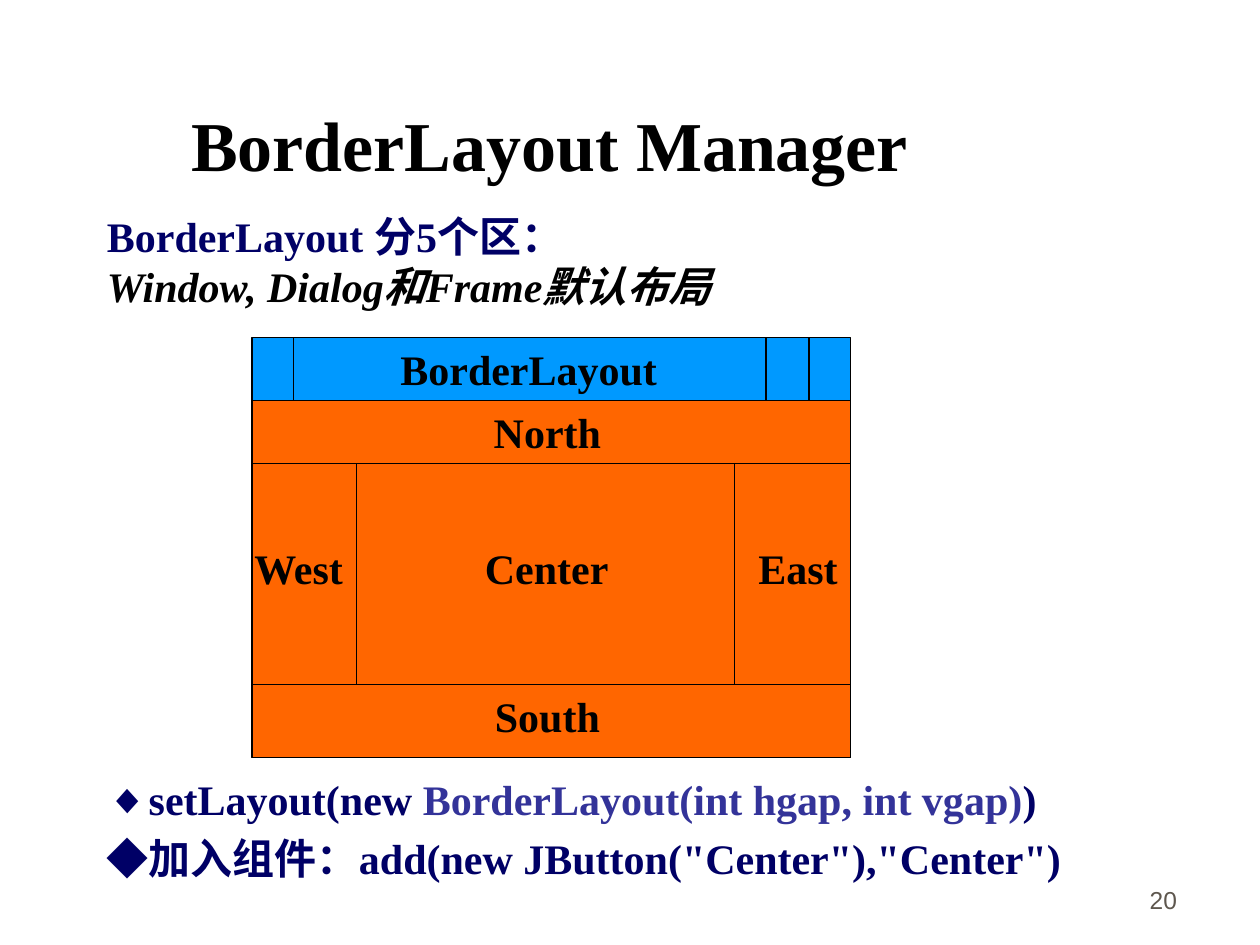
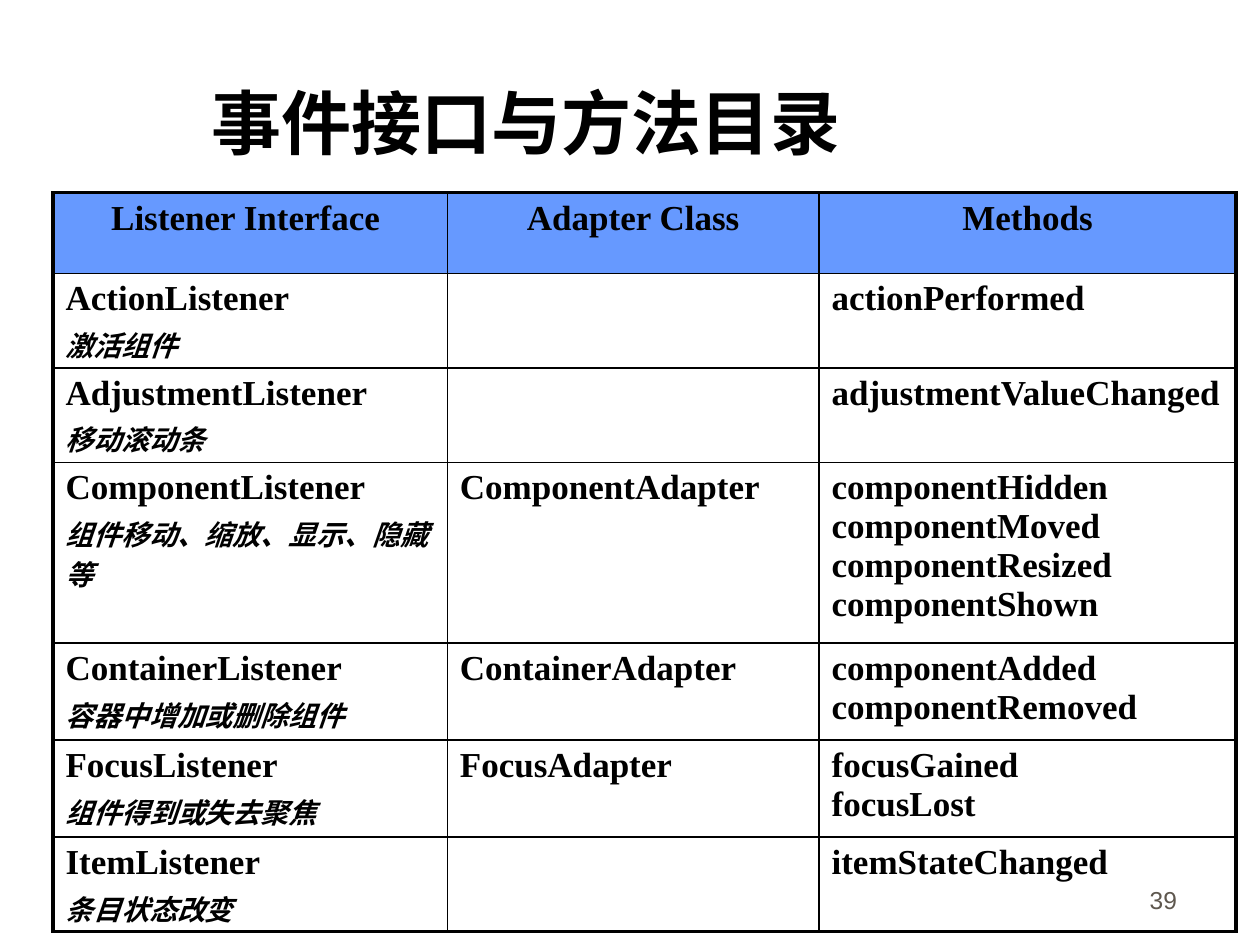
from pptx import Presentation
from pptx.dml.color import RGBColor
from pptx.enum.shapes import MSO_CONNECTOR, MSO_SHAPE
from pptx.enum.text import MSO_ANCHOR, PP_ALIGN
from pptx.oxml import parse_xml
from pptx.oxml.ns import nsdecls
from pptx.util import Inches, Pt

LEFT, MID, RIGHT = PP_ALIGN.LEFT, PP_ALIGN.CENTER, PP_ALIGN.RIGHT
TOP, LOW = MSO_ANCHOR.TOP, MSO_ANCHOR.BOTTOM
RECT, PANE = MSO_SHAPE.RECTANGLE, MSO_SHAPE.ACTION_BUTTON_CUSTOM
LINE = MSO_CONNECTOR.STRAIGHT


class Theme:
    serif, sans = "Times New Roman", "Arial"
    black, navy, indigo, grey = "000000", "000066", "333399", "5E574E"
    blue, orange, head = "0099FF", "FF6600", "6699FF"
    title, body, cell, note, page = 40, 24, 20, 16, 14
    thin, edge, thick = 0.75, 1, 2.25
    gap = 0.2  # space between paragraphs, as a share of the type size


# Content: layout slide
INTRO = [
    [("BorderLayout 分5个区：", {"color": Theme.navy})],
    [("Window, Dialog和Frame默认布局", {"italic": True})],
]
CODE = [
    [("◆setLayout(new ", {}),
     ("BorderLayout(int hgap, int vgap)", {"color": Theme.indigo}),
     (")", {})],
    [("◆加入组件：add(new JButton(\"Center\"),\"Center\")", {})],
]
COLS = [2, 2.83, 5.83, 6.75]
ROWS = [2.68, 3.18, 3.68, 5.43, 6.01]
TICKS = [2.33, 6.08, 6.42]
# Column span and row of each region
REGIONS = [(0, 3, 1), (0, 3, 3), (0, 1, 2), (2, 3, 2), (1, 2, 2)]
# Name, left, top, width
LABELS = [
    ("BorderLayout", 3.08, ROWS[0], 2.24),
    ("North", 3.82, ROWS[1], 1.05),
    ("West", 1.92, 4.26, 0.92),
    ("Center", 3.75, 4.26, 1.18),
    ("East", 5.92, 4.26, 0.83),
    ("South", 3.83, ROWS[3], 1.04),
]

# Content: event slide
HEADS = ["Listener Interface ", "Adapter Class", "Methods"]
EVENTS = [
    ("ActionListener", "激活组件", "", "actionPerformed"),
    ("AdjustmentListener", "移动滚动条", "", "adjustmentValueChanged"),
    ("ComponentListener", "组件移动、缩放、显示、隐藏等", "ComponentAdapter",
     "componentHidden \ncomponentMoved \ncomponentResized \ncomponentShown"),
    ("ContainerListener", "容器中增加或删除组件", "ContainerAdapter",
     "componentAdded \ncomponentRemoved"),
    ("FocusListener", "组件得到或失去聚焦", "FocusAdapter",
     "focusGained \nfocusLost"),
    ("ItemListener", "条目状态改变", "", "itemStateChanged"),
]
WIDTHS = [3.13, 2.95, 3.31]
HEIGHTS = [0.64, 0.75, 0.75, 1.43, 0.77, 0.77, 0.75]


def write(frame, text, size=Theme.body, font=Theme.serif, color=Theme.black,
          bold=True, italic=False, align=LEFT, gap=0):
    """Fill a frame with a string or with paragraphs of (text, format) runs."""
    paras = [[(text, {})]] if isinstance(text, str) else text
    base = {"size": size, "color": color, "italic": italic}
    for i, runs in enumerate(paras):
        para = frame.add_paragraph() if i else frame.paragraphs[0]
        para.alignment = align
        if i and gap:
            para.space_before = Pt(gap * runs[0][1].get("size", size))
        for words, extra in runs:
            look = {**base, **extra}
            for j, part in enumerate(words.split("\n")):
                if j:
                    para.add_line_break()
                run = para.add_run()
                run.text = part
                face = run.font
                face.name, face.size = font, Pt(look["size"])
                face.bold, face.italic = bold, look["italic"]
                face.color.rgb = RGBColor.from_string(look["color"])


def add_text(slide, box, text, wrap=True, anchor=TOP, **fmt):
    frame = slide.shapes.add_textbox(*map(Inches, box)).text_frame
    frame.word_wrap = wrap
    frame.vertical_anchor = anchor
    write(frame, text, **fmt)


def add_box(slide, kind, left, top, right, low, fill):
    box = slide.shapes.add_shape(
        kind, *map(Inches, (left, top, right - left, low - top)))
    box.shadow.inherit = False
    box.fill.solid()
    box.fill.fore_color.rgb = RGBColor.from_string(fill)
    box.line.color.rgb = RGBColor.from_string(Theme.black)
    box.line.width = Pt(Theme.thin)


def add_line(slide, *ends):
    line = slide.shapes.add_connector(LINE, *map(Inches, ends))
    line.line.color.rgb = RGBColor.from_string(Theme.black)
    line.line.width = Pt(Theme.thin)
    line._element.spPr.append(parse_xml(f"<a:effectLst {nsdecls('a')}/>"))


def add_page(deck, number, title, box):
    """Add a slide with its page number and title."""
    slide = deck.slides.add_slide(deck.slide_layouts[6])
    add_text(slide, (7.36, 6.81, 2.08, 0.5), number, anchor=LOW, align=RIGHT,
             size=Theme.page, font=Theme.sans, color=Theme.grey, bold=False)
    add_text(slide, box, title, size=Theme.title)
    return slide


def set_edges(cell, sides):
    """Draw cell borders; sides maps L, R, T, B to widths in points."""
    props = cell._tc.get_or_add_tcPr()
    for i, (side, width) in enumerate(sides.items()):
        props.insert(i, parse_xml(
            f'<a:ln{side} {nsdecls("a")} w="{Pt(width)}"><a:solidFill>'
            f'<a:srgbClr val="{Theme.black}"/></a:solidFill></a:ln{side}>'))


def build_layout(deck):
    slide = add_page(deck, "20", "BorderLayout Manager",
                     (1.42, 0.76, 6.89, 0.77))
    add_text(slide, (0.75, 1.62, 5.05, 0.91), INTRO)
    # Window with its title bar
    add_box(slide, RECT, COLS[0], ROWS[0], COLS[-1], ROWS[-1], Theme.blue)
    add_line(slide, COLS[0], ROWS[1], COLS[-1], ROWS[1])
    for x in TICKS:
        add_line(slide, x, ROWS[0], x, ROWS[1])
    # Five regions and their names
    for start, end, row in REGIONS:
        add_box(slide, PANE, COLS[start], ROWS[row], COLS[end],
                ROWS[row + 1], Theme.orange)
    for name, left, top, width in LABELS:
        add_text(slide, (left, top, width, 0.5), name, wrap=False)
    add_text(slide, (0.75, 6.09, 8.08, 0.98), CODE, color=Theme.navy,
             gap=Theme.gap)


def build_events(deck):
    slide = add_page(deck, "39", "事件接口与方法目录",
                     (1.58, 0.58, 6.65, 0.77))
    small = {"size": Theme.note, "italic": True}
    grid = [HEADS] + [
        ([[(name, {})], [(note, small)]], adapter, methods)
        for name, note, adapter, methods in EVENTS]
    rows, cols = len(grid), len(WIDTHS)
    table = slide.shapes.add_table(
        rows, cols, Inches(0.42), Inches(1.53),
        Inches(sum(WIDTHS)), Inches(sum(HEIGHTS))).table
    table.first_row = table.horz_banding = False
    for col, width in zip(table.columns, WIDTHS):
        col.width = Inches(width)
    # Cells, with a thick outer frame
    for r, line in enumerate(grid):
        table.rows[r].height = Inches(HEIGHTS[r])
        for c, text in enumerate(line):
            cell = table.cell(r, c)
            if r:
                cell.fill.background()
            else:
                cell.fill.solid()
                cell.fill.fore_color.rgb = RGBColor.from_string(Theme.head)
            outer = {"L": c == 0, "R": c == cols - 1,
                     "T": r == 0, "B": r == rows - 1}
            set_edges(cell, {side: Theme.thick if out else Theme.edge
                             for side, out in outer.items()})
            if text:
                write(cell.text_frame, text, size=Theme.cell,
                      align=LEFT if r else MID, gap=Theme.gap)


def main():
    deck = Presentation()
    deck.slide_width, deck.slide_height = Inches(10), Inches(7.5)
    build_layout(deck)
    build_events(deck)
    deck.save("out.pptx")


if __name__ == "__main__":
    main()
